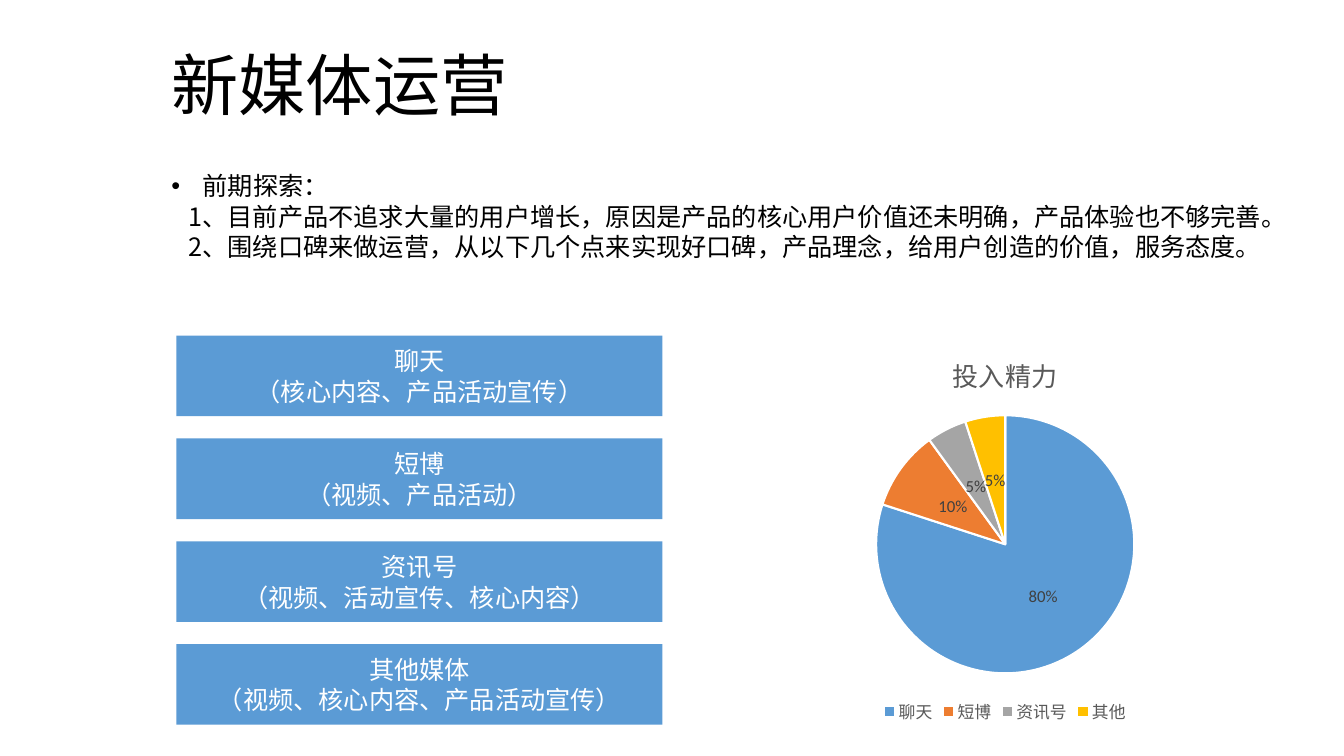
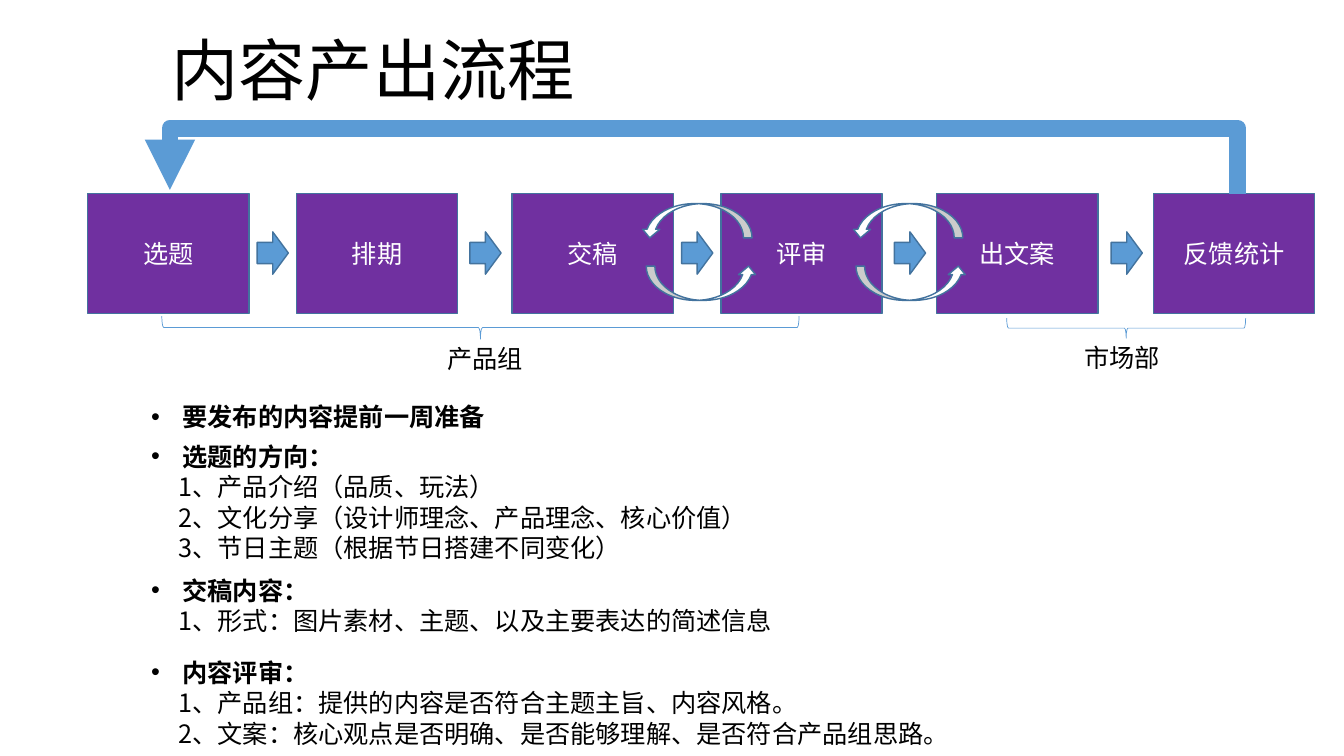
from pptx import Presentation
from pptx.chart.data import CategoryChartData
from pptx.dml.color import RGBColor
from pptx.enum.chart import XL_CHART_TYPE, XL_LABEL_POSITION, XL_LEGEND_POSITION
from pptx.enum.shapes import MSO_CONNECTOR, MSO_SHAPE
from pptx.enum.text import MSO_ANCHOR, MSO_AUTO_SIZE, PP_ALIGN
from pptx.oxml.ns import qn
from pptx.util import Inches, Pt
from lxml.etree import SubElement

FONT = "Noto Sans CJK SC"
BLACK = RGBColor(0x00, 0x00, 0x00)
WHITE = RGBColor(0xFF, 0xFF, 0xFF)
BLUE = RGBColor(0x5B, 0x9B, 0xD5)
NAVY = RGBColor(0x43, 0x73, 0x9E)
PURPLE = RGBColor(0x70, 0x30, 0xA0)
ORANGE = RGBColor(0xED, 0x7D, 0x31)
SILVER = RGBColor(0xA5, 0xA5, 0xA5)
GOLD = RGBColor(0xFF, 0xC0, 0x00)
GREY = RGBColor(0x59, 0x59, 0x59)
DARK = RGBColor(0x40, 0x40, 0x40)


def write(shape, lines, size=18, color=BLACK, align=PP_ALIGN.LEFT,
          anchor=MSO_ANCHOR.TOP, heads=None, bold=False, indent=0):
    frame = shape.text_frame
    frame.word_wrap = True
    frame.auto_size = MSO_AUTO_SIZE.NONE
    frame.vertical_anchor = anchor
    frame.text = "\n".join(lines)
    for i, para in enumerate(frame.paragraphs):
        head = heads is not None and i in heads
        para.alignment = align
        para.line_spacing = Pt(round(size * 1.21, 1))
        para.space_before = Pt(heads[i] if head else 0)
        para.space_after = Pt(0)
        props = para._p.get_or_add_pPr()
        props.set("marL", str(Inches(0.31 if head else indent)))
        props.set("indent", str(Inches(-0.31 if head else 0)))
        if head:
            SubElement(props, qn("a:buFont")).set("typeface", "Arial")
            SubElement(props, qn("a:buChar")).set("char", "•")
        else:
            SubElement(props, qn("a:buNone"))
        run = para.runs[0]
        run.font.size = Pt(size)
        run.font.bold = bold and head
        run.font.color.rgb = color
        run.font.name = FONT
        SubElement(run._r.get_or_add_rPr(), qn("a:ea")).set("typeface", FONT)


def draw(slide, kind, left, top, width, height, fill=None, line=None, weight=1, turn=0):
    shape = slide.shapes.add_shape(
        kind, Inches(left), Inches(top), Inches(width), Inches(height))
    shape.shadow.inherit = False
    shape.rotation = turn
    if fill is None:
        shape.fill.background()
    else:
        shape.fill.solid()
        shape.fill.fore_color.rgb = fill
    if line is None:
        shape.line.fill.background()
    else:
        shape.line.color.rgb = line
        shape.line.width = Pt(weight)
    return shape


deck = Presentation()
deck.slide_width = Inches(13.33)
deck.slide_height = Inches(7.5)

pages = [
    ("新媒体运营", 0.37, (1.6, 1.64, 11.6, 1.01), 0.17, {0: 0},
     ["前期探索：",
      "1、目前产品不追求大量的用户增长，原因是产品的核心用户价值还未明确，产品体验也不够完善。",
      "2、围绕口碑来做运营，从以下几个点来实现好口碑，产品理念，给用户创造的价值，服务态度。"]),
    ("内容产出流程", 0.22, (1.4, 3.93, 8.53, 3.5), 0.27, {0: 0, 1: 6.4, 5: 8.6, 7: 15},
     ["要发布的内容提前一周准备",
      "选题的方向：",
      "1、产品介绍（品质、玩法）",
      "2、文化分享（设计师理念、产品理念、核心价值）",
      "3、节日主题（根据节日搭建不同变化）",
      "交稿内容：",
      "1、形式：图片素材、主题、以及主要表达的简述信息",
      "内容评审：",
      "1、产品组：提供的内容是否符合主题主旨、内容风格。",
      "2、文案：核心观点是否明确、是否能够理解、是否符合产品组思路。"]),
]
slides = []
for name, top, area, indent, heads, lines in pages:
    slide = deck.slides.add_slide(deck.slide_layouts[1])
    title, body = slide.placeholders
    title.left, title.top = Inches(1.6), Inches(top)
    title.width, title.height = Inches(6), Inches(0.91)
    write(title, [name], size=48)
    body.left, body.top, body.width, body.height = map(Inches, area)
    write(body, lines, heads=heads, bold=len(heads) > 1, indent=indent)
    slides.append(slide)
media, flow = slides

cards = [
    ("聊天", "（核心内容、产品活动宣传）"),
    ("短博", "（视频、产品活动）"),
    ("资讯号", "（视频、活动宣传、核心内容）"),
    ("其他媒体", "（视频、核心内容、产品活动宣传）"),
]
for i, lines in enumerate(cards):
    card = draw(media, MSO_SHAPE.RECTANGLE, 1.75, 3.33 + 1.02 * i, 4.82, 0.8, BLUE)
    write(card, lines, color=WHITE, align=PP_ALIGN.CENTER, anchor=MSO_ANCHOR.MIDDLE)

data = CategoryChartData()
data.categories = ["聊天", "短博", "资讯号", "其他"]
data.add_series("投入精力", (80, 10, 5, 5))
chart = media.shapes.add_chart(
    XL_CHART_TYPE.PIE, Inches(7.66), Inches(3.32), Inches(4.62), Inches(3.9), data).chart
chart.font.name = "Calibri"
chart.font.size = Pt(12)
chart.font.color.rgb = GREY
chart.has_title = True
chart.chart_title.text_frame.text = "投入精力"
font = chart.chart_title.text_frame.paragraphs[0].runs[0].font
font.size = Pt(18.6)
font.bold = False
font.color.rgb = GREY
chart.has_legend = True
chart.legend.position = XL_LEGEND_POSITION.BOTTOM
chart.legend.include_in_layout = False
plot = chart.plots[0]
plot.vary_by_categories = True
for i, color in enumerate((BLUE, ORANGE, SILVER, GOLD)):
    form = plot.series[0].points[i].format
    form.fill.solid()
    form.fill.fore_color.rgb = color
    form.line.color.rgb = WHITE
    form.line.width = Pt(1.5)
plot.has_data_labels = True
labels = plot.data_labels
labels.show_percentage = True
labels.show_value = False
labels.number_format = "0%"
labels.number_format_is_linked = False
labels.position = XL_LABEL_POSITION.CENTER
labels.font.size = Pt(12)
labels.font.color.rgb = DARK

steps = [("选题", 0.87), ("排期", 2.94), ("交稿", 5.08),
         ("评审", 7.15), ("出文案", 9.29), ("反馈统计", 11.44)]
for name, left in steps:
    step = draw(flow, MSO_SHAPE.RECTANGLE, left, 1.92, 1.6, 1.19, PURPLE, NAVY)
    write(step, [name], color=WHITE, align=PP_ALIGN.CENTER, anchor=MSO_ANCHOR.MIDDLE)
for left in (2.55, 4.66, 6.76, 8.87, 11.02):
    draw(flow, MSO_SHAPE.RIGHT_ARROW, left, 2.3, 0.31, 0.42, BLUE, NAVY)

loop = flow.shapes.add_connector(
    MSO_CONNECTOR.ELBOW, Inches(6.96), Inches(7.2), Inches(7), Inches(-3.39))
loop.line.color.rgb = BLUE
loop.line.width = Pt(12)
SubElement(loop.line._get_or_add_ln(), qn("a:tailEnd")).set("type", "triangle")
props = loop._element.spPr
SubElement(props, qn("a:effectLst"))
props.find(qn("a:xfrm")).set("rot", "16200000")
guide = SubElement(props.find(qn("a:prstGeom")).find(qn("a:avLst")), qn("a:gd"))
guide.set("name", "adj1")
guide.set("fmla", "val 1625000")

teams = [("产品组", 4.33, 3.35, (4.65, 0.09, 0.23, 6.32)),
         ("市场部", 10.65, 3.34, (11.07, 2.07, 0.2, 2.37))]
for name, left, top, brace in teams:
    draw(flow, MSO_SHAPE.LEFT_BRACE, *brace, line=BLUE, weight=0.5, turn=270)
    label = flow.shapes.add_textbox(Inches(left), Inches(top), Inches(0.96), Inches(0.4))
    write(label, [name], align=PP_ALIGN.CENTER)

for left, top, turn in ((6.74, 1.64, 90), (6.79, 2.26, 270),
                        (8.83, 1.64, 90), (8.87, 2.26, 270)):
    curve = draw(flow, MSO_SHAPE.CURVED_LEFT_ARROW, left, top, 0.34, 1.1,
                 WHITE, NAVY, turn=turn)
    curve._element.spPr.find(qn("a:xfrm")).set("flipH", "1")

deck.save("out.pptx")
